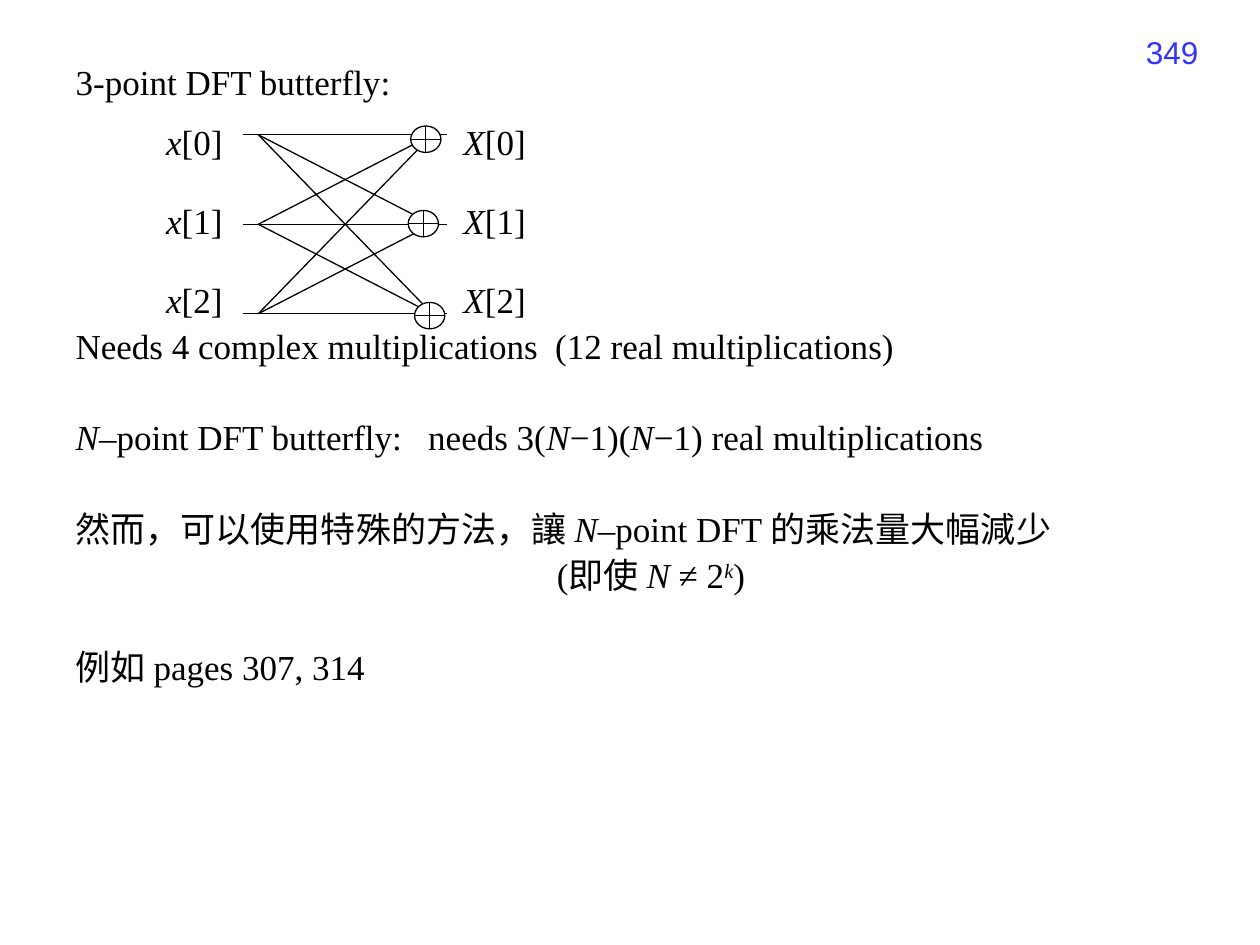
from itertools import permutations

from pptx import Presentation, util as u
from pptx.dml.color import RGBColor
from pptx.enum import shapes, text
from pptx.oxml import ns, xmlchemy


def colour(hex_code):
    return RGBColor.from_string(hex_code)


def apply(target, values):
    for name, value in values.items():
        setattr(target, name, value)


class Page:
    """Style and current slide, measured on a grid of 100 columns by 75 rows."""

    INK, PAPER, ACCENT = "000000", "FFFFFF", "3333FF"
    SERIF = {"name": "Times New Roman", "size": u.Pt(20), "bold": False}
    SANS = {"name": "Arial", "size": u.Pt(18)}
    FRAME = {"word_wrap": True, "auto_size": text.MSO_AUTO_SIZE.NONE,
             "vertical_anchor": text.MSO_ANCHOR.TOP}

    def __init__(self, deck):
        self.slide = deck.slides.add_slide(deck.slide_layouts[1])
        self.column = deck.slide_width / 100
        self.row = deck.slide_height / 75
        title = self.slide.shapes.title.element
        title.getparent().remove(title)

    def place(self, *cells):
        return [round(cell * step) for cell, step
                in zip(cells, (self.column, self.row) * 2)]

    def typeset(self, frame, lines, font, ink):
        apply(frame, self.FRAME)
        for index, (content, layout) in enumerate(lines):
            paragraph = frame.add_paragraph() if index else frame.paragraphs[0]
            apply(paragraph, layout)
            for part, piece in enumerate(content.split("*")):
                if not piece:
                    continue
                run = paragraph.add_run()
                run.text = piece.lstrip("^")
                apply(run.font, {**font, "italic": part % 2 == 1})
                run.font.color.rgb = colour(ink)
                if piece.startswith("^"):
                    run.font._element.set("baseline", "30000")

    def label(self, cells, lines, font=SERIF, ink=INK):
        box = self.slide.shapes.add_textbox(*self.place(*cells))
        self.typeset(box.text_frame, lines, font, ink)

    def body(self, cells, lines):
        body = self.slide.placeholders[1]
        apply(body, dict(zip(("left", "top", "width", "height"), self.place(*cells))))
        self.typeset(body.text_frame, [(content, layout) for content, layout, _ in lines],
                     self.SERIF, self.INK)
        for paragraph, (_, _, indent) in zip(body.text_frame.paragraphs, lines):
            properties = paragraph._p.get_or_add_pPr()
            properties.set("marL", str(round(indent * self.column)))
            properties.set("indent", "0")
            properties.append(xmlchemy.OxmlElement("a:buNone"))

    def line(self, *ends):
        wire = self.slide.shapes.add_connector(
            shapes.MSO_CONNECTOR.STRAIGHT, *self.place(*ends))
        wire.line.color.rgb = colour(self.INK)
        wire.line.width = u.Pt(0.75)
        wire._element.find(ns.qn("p:spPr")).append(xmlchemy.OxmlElement("a:effectLst"))

    def adder(self, *cells):
        node = self.slide.shapes.add_shape(
            shapes.MSO_SHAPE.FLOWCHART_OR, *self.place(*cells))
        node.shadow.inherit = False
        node.fill.solid()
        node.fill.fore_color.rgb = colour(self.PAPER)
        node.line.color.rgb = colour(self.INK)
        node.line.width = u.Pt(0.75)


deck = Presentation()
deck.slide_width, deck.slide_height = u.Inches(10), u.Inches(7.5)
page = Page(deck)

page.label((72.8, 2.1, 23.3, 5.2), [("349", {"alignment": text.PP_ALIGN.RIGHT})],
           Page.SANS, Page.ACCENT)

NEXT, GAP, BELOW_DIAGRAM = 5, 30.7, 129
notes = [
    ("3-point DFT butterfly:", 0, 0),
    ("Needs 4 complex multiplications  (12 real multiplications)", BELOW_DIAGRAM, 0),
    ("*N*–point DFT butterfly:   needs 3(*N*−1)(*N*−1) real multiplications", GAP, 0),
    ("然而，可以使用特殊的方法，讓 *N*–point DFT 的乘法量大幅減少", GAP, 0),
    ("(即使 *N *≠ 2*^k*)", NEXT, 38.2),
    ("例如 pages 307, 314", GAP, 0),
]
page.body((5, 4.7, 89.5, 60.4),
          [(content, {"line_spacing": 0.9, "space_before": u.Pt(space)}, indent)
           for content, space, indent in notes])

levels = [10.7 + 7.1 * index for index in range(3)]
for level in levels:
    page.line(19.3, level, 35.5, level)
for start, end in permutations(levels, 2):
    page.line(20.5, start, 34.3, end)

for signal, left in (("x", 12.2), ("X", 35.8)):
    page.label((left, 9.1, 7.1, 17.7),
               [(f"*{signal}*[{index}]", {"space_before": u.Pt(21 if index else 0)})
                for index in range(3)])

for left, top in ((32.6, 10), (32.4, 16.7), (32.9, 24)):
    page.adder(left, top, 2.4, 2.1)

deck.save("out.pptx")
